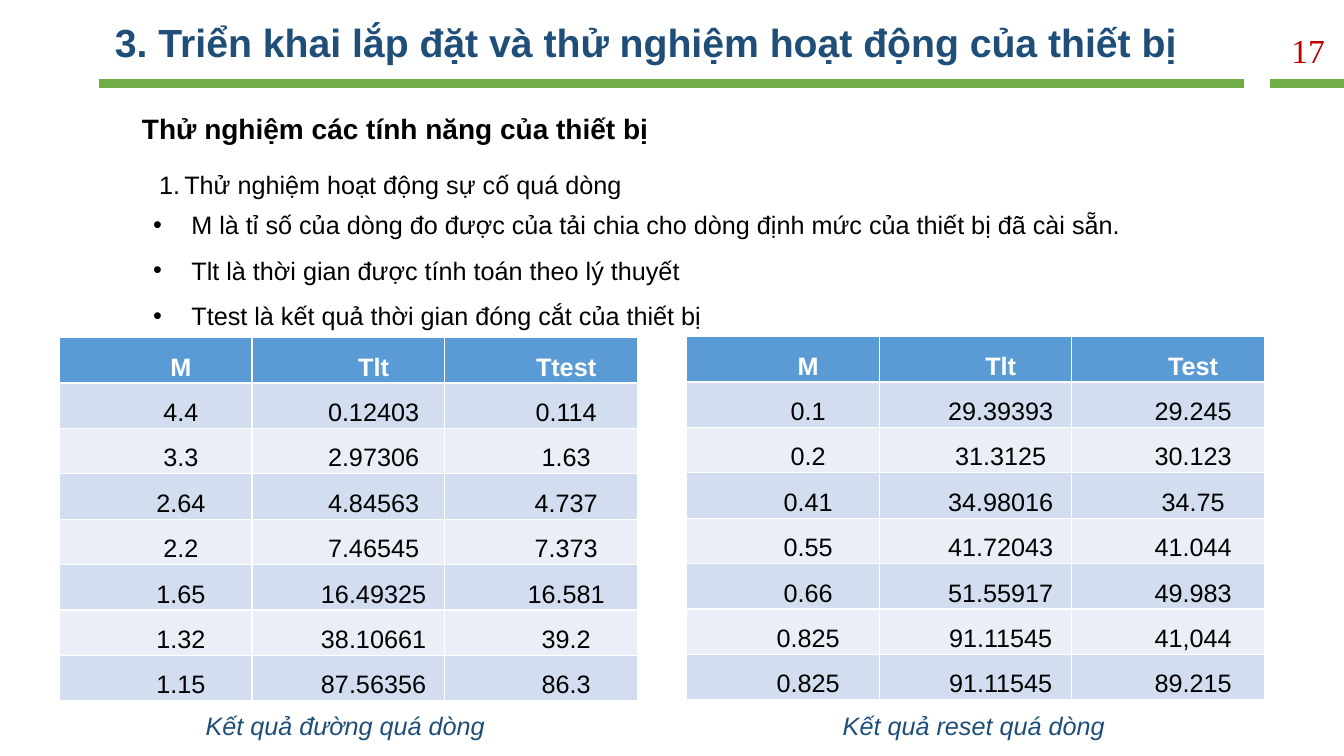
from lxml.etree import SubElement as Sub
from pptx import Presentation
from pptx.dml.color import RGBColor as RGB
from pptx.enum.shapes import MSO_CONNECTOR as Conn
from pptx.enum.text import MSO_ANCHOR as Anchor, MSO_AUTO_SIZE as Auto, PP_ALIGN as Align
from pptx.oxml.ns import qn
from pptx.util import Inches, Pt

# Content
TITLE = "3. Triển khai lắp đặt và thử nghiệm hoạt động của thiết bị"
PAGE = "17"
HEAD = "Thử nghiệm các tính năng của thiết bị"
STEP = "Thử nghiệm hoạt động sự cố quá dòng"
NOTES = [
    "M là tỉ số của dòng đo được của tải chia cho dòng định mức của thiết bị đã cài sẵn.",
    "Tlt là thời gian được tính toán theo lý thuyết",
    "Ttest là kết quả thời gian đóng cắt của thiết bị",
]
TRIP = [
    ("M", "Tlt", "Ttest"),
    ("4.4", "0.12403", "0.114"),
    ("3.3", "2.97306", "1.63"),
    ("2.64", "4.84563", "4.737"),
    ("2.2", "7.46545", "7.373"),
    ("1.65", "16.49325", "16.581"),
    ("1.32", "38.10661", "39.2"),
    ("1.15", "87.56356", "86.3"),
]
RESET = [
    ("M", "Tlt", "Test"),
    ("0.1", "29.39393", "29.245"),
    ("0.2", "31.3125", "30.123"),
    ("0.41", "34.98016", "34.75"),
    ("0.55", "41.72043", "41.044"),
    ("0.66", "51.55917", "49.983"),
    ("0.825", "91.11545", "41,044"),
    ("0.825", "91.11545", "89.215"),
]
# Table left and top, rows, caption, caption left and width
TABLES = [
    (0.59, 3.35, TRIP, "Kết quả đường quá dòng", 1.94, 3.02),
    (6.81, 3.34, RESET, "Kết quả reset quá dòng", 8.26, 2.82),
]
RULES = [(0.98, 12.34), (12.6, 13.33)]

# Format
NAVY, GREEN, RED = RGB(0x1F, 0x4E, 0x79), RGB(0x70, 0xAD, 0x47), RGB(0xC0, 0, 0)
BLACK, WHITE = RGB(0, 0, 0), RGB(255, 255, 255)
BLUE, DARK, PALE = RGB(0x5B, 0x9B, 0xD5), RGB(0xD2, 0xDE, 0xEF), RGB(0xEA, 0xEF, 0xF7)
COL, ROW = 1.91, 0.45
BODY = {"size": Pt(18), "name": "Arial", "color": BLACK}


def style(font, look):
    for key, value in look.items():
        if key == "color":
            font.color.rgb = value
        else:
            setattr(font, key, value)


def indent(para, left, first):
    props = para._p.get_or_add_pPr()
    props.set("marL", str(Inches(left)))
    props.set("indent", str(Inches(first)))
    return props


def write(para, text, look, **format):
    para.text = text
    for key, value in format.items():
        setattr(para, key, value)
    style(para.runs[0].font, look)


def add_text(spot, text, look, wrap=True, **format):
    box = slide.shapes.add_textbox(*map(Inches, spot))
    frame = box.text_frame
    frame.word_wrap = wrap
    write(frame.paragraphs[0], text, look, **format)
    return frame


def add_grid(left, top, rows):
    count, width = len(rows), len(rows[0])
    size = (left, top, COL * width, ROW * count)
    table = slide.shapes.add_table(count, width, *map(Inches, size)).table
    for r, row in enumerate(rows):
        head = r == 0
        look = BODY | {"bold": head, "color": WHITE if head else BLACK}
        fill = BLUE if head else DARK if r % 2 else PALE
        for c, text in enumerate(row):
            cell = table.cell(r, c)
            cell.fill.solid()
            cell.fill.fore_color.rgb = fill
            cell.vertical_anchor = Anchor.MIDDLE
            cell.margin_left = cell.margin_right = Inches(0.07)
            cell.margin_top = cell.margin_bottom = 0
            para = cell.text_frame.paragraphs[0]
            indent(para, 0.25, 0.25)
            write(para, text, look, alignment=Align.CENTER, line_spacing=1.5)


deck = Presentation()
deck.slide_width, deck.slide_height = Inches(13.33), Inches(7.5)
slide = deck.slides.add_slide(deck.slide_layouts[5])

# Title and page number
title = slide.shapes.title
title.left, title.top, title.width, title.height = map(Inches, (1.04, 0.13, 11.18, 0.57))
title.text_frame.auto_size = Auto.NONE
title.text_frame.vertical_anchor = Anchor.TOP
write(title.text_frame.paragraphs[0], TITLE,
      BODY | {"size": Pt(28), "bold": True, "color": NAVY}, alignment=Align.LEFT)
add_text((12.71, 0.25, 0.6, 0.4), PAGE,
         {"size": Pt(24), "name": "Times New Roman", "color": RED})

# Green rules
for start, end in RULES:
    rule = slide.shapes.add_connector(
        Conn.STRAIGHT, *map(Inches, (start, 0.83, end, 0.83)))
    rule.line.color.rgb, rule.line.width = GREEN, Pt(6)
    Sub(rule._element.spPr, qn("a:effectLst"))

# Heading and numbered step
frame = add_text((0.81, 1.06, 9.34, 0.44), HEAD, BODY | {"size": Pt(20), "bold": True})
indent(frame.paragraphs[0], 0.5, 0)
frame = add_text((0.48, 1.48, 5.84, 0.56), STEP, BODY, wrap=False,
                 line_spacing=1.5, space_after=Pt(3))
Sub(indent(frame.paragraphs[0], 1.25, -0.25), qn("a:buAutoNum"), type="arabicPeriod")

# Tables and captions
for left, top, rows, note, start, width in TABLES:
    add_grid(left, top, rows)
    add_text((start, 7, width, 0.4), note, BODY | {"color": NAVY, "italic": True}, wrap=False)

# Bullets
frame = add_text((1.42, 1.88, 11.11, 1.46), NOTES[0], BODY)
for note in NOTES[1:]:
    write(frame.add_paragraph(), note, BODY)
for para in frame.paragraphs:
    props = indent(para, 0.38, -0.38)
    Sub(props, qn("a:buFont"), typeface="Arial")
    Sub(props, qn("a:buChar"), char="•")
    para.alignment, para.line_spacing = Align.JUSTIFY, 1.5

deck.save("out.pptx")
